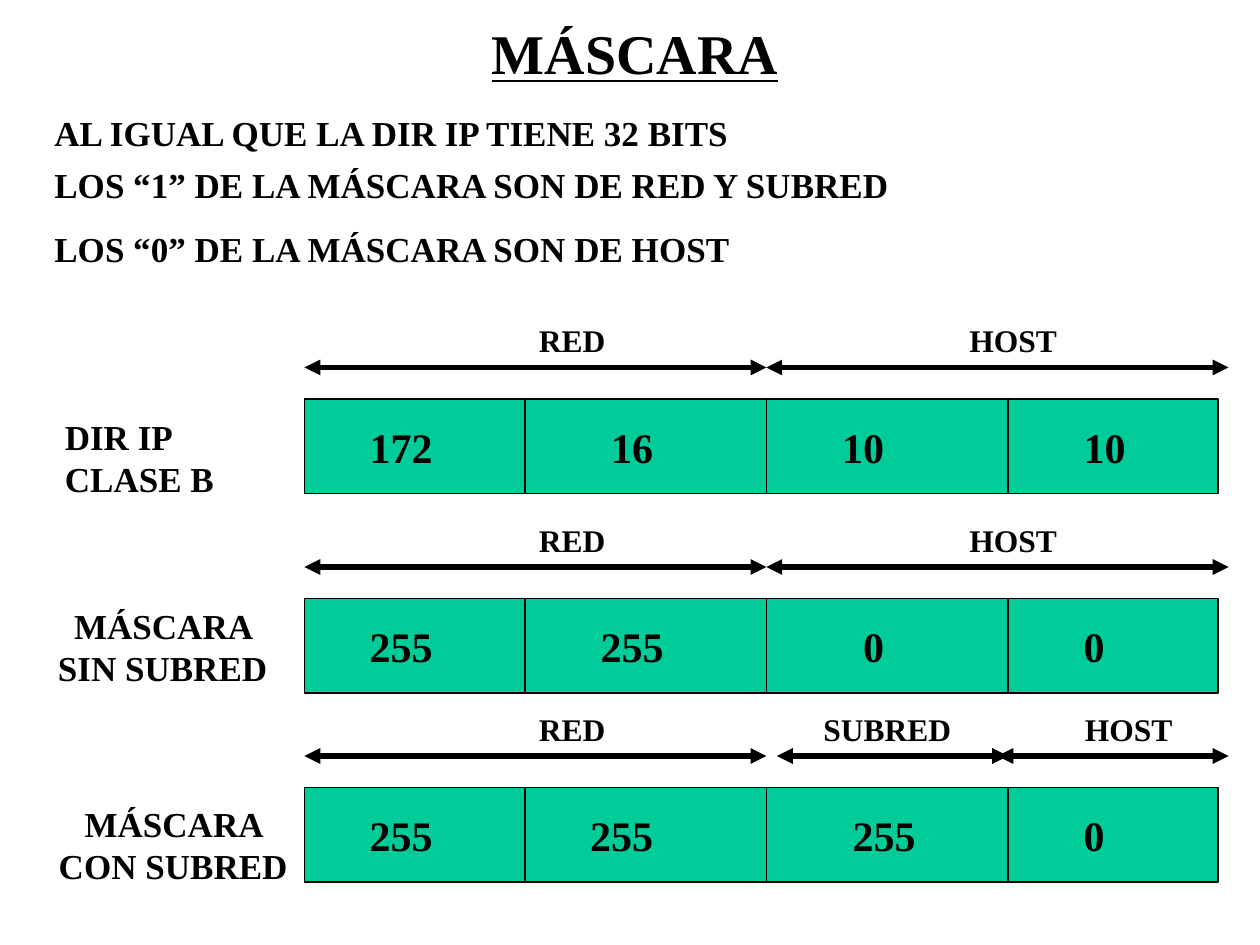
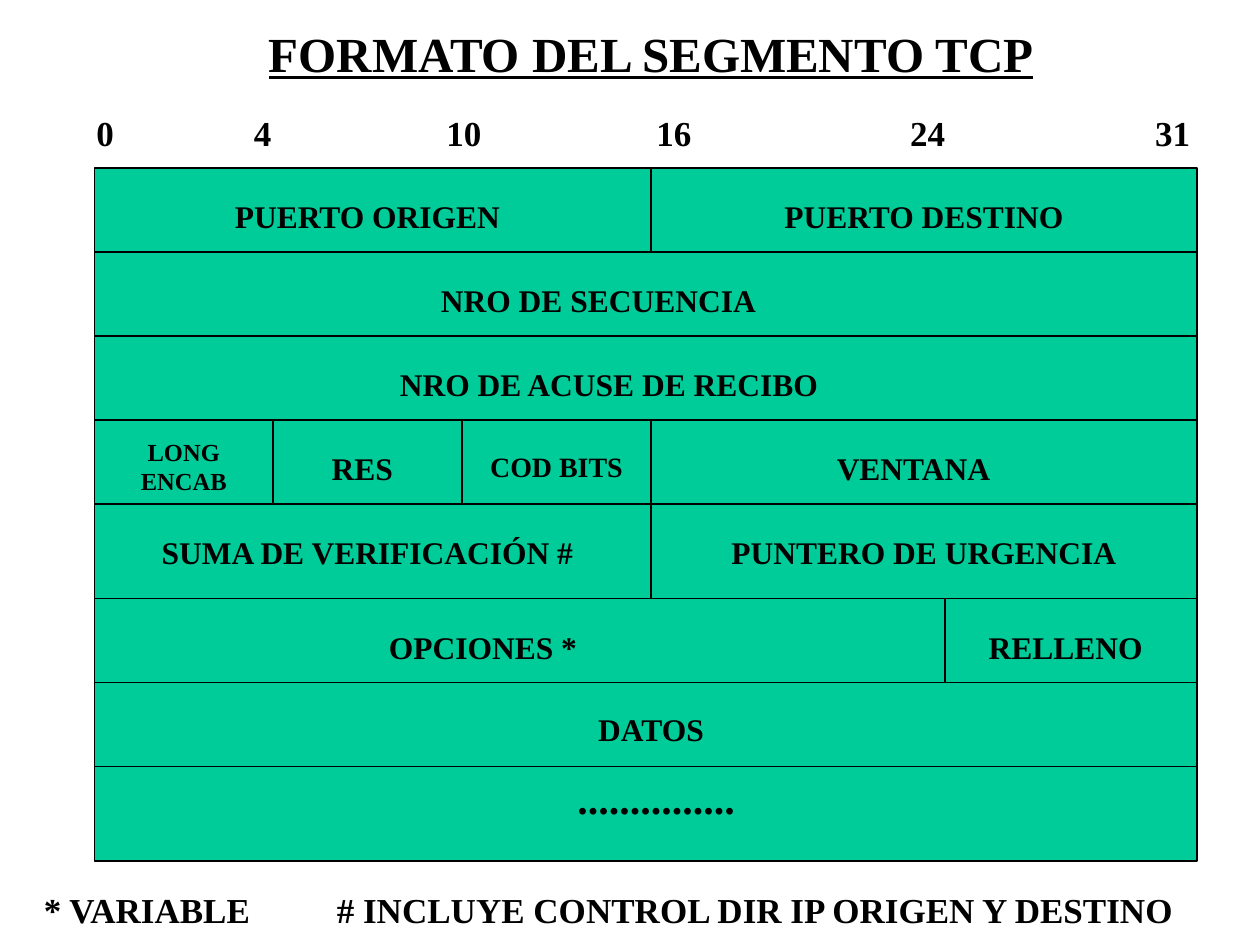
from collections import namedtuple

import pptx
import pptx.dml.color
import pptx.enum.shapes
import pptx.enum.text
import pptx.oxml.ns
import pptx.util
from lxml import etree

COLORS = {"ink": "000000", "field": "00CC99"}
FONT = "Times New Roman"
COLUMNS, ROWS = 120, 90
CELL = pptx.util.Inches(10) // COLUMNS
LABEL_HEIGHT = 4.8
INSET = 1.2

Box = namedtuple("Box", "left top width height")
Align = pptx.enum.text.PP_ALIGN
Anchor = pptx.enum.text.MSO_ANCHOR


def cells(*counts):
    return [round(count * CELL) for count in counts]


def color(key):
    return pptx.dml.color.RGBColor.from_string(COLORS[key])


def add_xml(parent, tag, **attributes):
    return etree.SubElement(parent, pptx.oxml.ns.qn(tag), attributes)


def write(frame, wording, size, align=Align.LEFT, tabs=(), underline=False):
    frame.word_wrap = True
    frame.text = wording
    for index, paragraph in enumerate(frame.paragraphs):
        if tabs:
            stops = add_xml(paragraph._p.get_or_add_pPr(), "a:tabLst")
            for stop in cells(*tabs):
                add_xml(stops, "a:tab", pos=str(stop), algn="l")
        paragraph.alignment = align
        if index:
            paragraph.space_before = pptx.util.Pt(12.5)
        for run in paragraph.runs:
            run.font.name = FONT
            run.font.size = pptx.util.Pt(size)
            run.font.bold = True
            run.font.underline = underline
            run.font.color.rgb = color("ink")


def add_label(slide, box, wording, size=20, **style):
    frame = slide.shapes.add_textbox(*cells(*box)).text_frame
    write(frame, wording, size, **style)
    return frame


def add_title(slide, box, wording, size):
    frame = add_label(slide, box, wording, size, align=Align.CENTER, underline=True)
    frame.vertical_anchor = Anchor.MIDDLE


def add_field(slide, box):
    field = slide.shapes.add_shape(
        pptx.enum.shapes.MSO_SHAPE.RECTANGLE, *cells(*box))
    field.shadow.inherit = False
    field.fill.solid()
    field.fill.fore_color.rgb = color("field")
    field.line.color.rgb = color("ink")
    field.line.width = pptx.util.Pt(0.75)
    return field


def add_line(slide, x1, y1, x2, y2, weight=0.75, arrows=False):
    line = slide.shapes.add_connector(
        pptx.enum.shapes.MSO_CONNECTOR.STRAIGHT, *cells(x1, y1, x2, y2))
    line.line.color.rgb = color("ink")
    line.line.width = pptx.util.Pt(weight)
    if arrows:
        outline = line.line._get_or_add_ln()
        add_xml(outline, "a:headEnd", type="triangle")
        add_xml(outline, "a:tailEnd", type="triangle")
    add_xml(line._element.spPr, "a:effectLst")


def add_address(slide, box, octets, stops, spans):
    frame = add_field(slide, box).text_frame
    frame.vertical_anchor = Anchor.MIDDLE
    frame.margin_left = cells(INSET + 5)[0]
    frame.margin_right = 0
    write(frame, "\t".join(octets), 24, tabs=stops)
    for divider in (21, 44, 67):
        x = box.left + divider
        add_line(slide, x, box.top, x, box.top + box.height)
    for part, start, end, label_left in spans:
        arrow_y = box.top - 3
        add_line(slide, box.left + start, arrow_y, box.left + end, arrow_y,
                 weight=3, arrows=True)
        add_label(slide, Box(box.left + label_left, box.top - 8, 23, LABEL_HEIGHT),
                  part, 18, align=Align.CENTER)


def build_mask_slide(slide):
    add_title(slide, Box(40, 1, 41, 8), "MÁSCARA", 32)
    add_label(slide, Box(4, 10, 113, 5.3), "AL IGUAL QUE LA DIR IP TIENE 32 BITS")
    add_label(slide, Box(4, 15, 109, 11.3),
              "LOS “1” DE LA MÁSCARA SON DE RED Y SUBRED\n"
              "LOS “0” DE LA MÁSCARA SON DE HOST")

    network = ("RED", 0, 44, 14)
    whole = [network, ("HOST", 44, 88, 56)]
    split = [network, ("SUBRED", 45, 67, 44), ("HOST", 66, 88, 67)]
    addresses = [
        (38, ("172", "16", "10", "10"), (23, 45, 68), whole),
        (57, ("255", "255", "0", "0"), (22, 47, 68), whole),
        (75, ("255", "255", "255", "0"), (21, 46, 68), split),
    ]
    for top, octets, stops, spans in addresses:
        add_address(slide, Box(29, top, 87, 9), octets, stops, spans)

    caption = add_label(slide, Box(5, 39, 24, 8.9), "DIR IP\nCLASE B")
    caption.paragraphs[1].line_spacing = 0.4
    add_label(slide, Box(4, 57, 23, 9.2), "MÁSCARA SIN SUBRED", align=Align.CENTER)
    add_label(slide, Box(4, 75.8, 25, 9.2), "MÁSCARA CON SUBRED", align=Align.CENTER)


def add_segment(slide, box):
    add_field(slide, box)
    row_tops = (0, 8, 16, 24, 32, 41, 49, 57)
    for row_top in row_tops[1:]:
        y = box.top + row_top
        add_line(slide, box.left, y, box.left + box.width, y)
    for x, start, end in ((53, 0, 1), (53, 3, 5), (81, 5, 6), (17, 3, 4), (35, 3, 4)):
        add_line(slide, box.left + x, box.top + row_tops[start],
                 box.left + x, box.top + row_tops[end])
    fields = [
        (0, 4, 44, "PUERTO ORIGEN", 18, 2.2),
        (0, 57, 44, "PUERTO DESTINO", 18, 2.2),
        (1, 26, 44, "NRO DE SECUENCIA", 18, 2.2),
        (2, 27, 44, "NRO DE ACUSE DE RECIBO", 18, 2.2),
        (3, 1, 15, "LONG ENCAB", 14, 1),
        (3, 18, 15, "RES", 18, 2.2),
        (3, 36, 16, "COD BITS", 16, 2.2),
        (3, 56, 44, "VENTANA", 18, 2.2),
        (4, 4, 44, "SUMA DE VERIFICACIÓN #", 18, 2.2),
        (4, 57, 44, "PUNTERO DE URGENCIA", 18, 2.2),
        (5, 15, 44, "OPCIONES *", 18, 2.2),
        (5, 81, 23, "RELLENO", 18, 2.2),
        (6, 31, 44, "DATOS", 18, 2),
        (7, 44, 19, "...............", 24, 0),
    ]
    for row, left, width, wording, size, drop in fields:
        label = Box(box.left + left, box.top + row_tops[row] + drop, width, LABEL_HEIGHT)
        add_label(slide, label, wording, size, align=Align.CENTER)


def build_segment_slide(slide):
    add_title(slide, Box(18, 1, 88, 8), "FORMATO DEL SEGMENTO TCP", 28)
    add_label(slide, Box(8, 10, 107, 5.3), "0\t4\t10\t16\t24\t31",
              tabs=(15, 33.33, 53.33, 77.5, 100.83))
    add_segment(slide, Box(9, 16, 105, 66))
    add_label(slide, Box(3, 84, 113, 5.3),
              "* VARIABLE\t# INCLUYE CONTROL DIR IP ORIGEN Y DESTINO", tabs=(27.9,))


def main():
    deck = pptx.Presentation()
    deck.slide_width, deck.slide_height = cells(COLUMNS, ROWS)
    for build in (build_mask_slide, build_segment_slide):
        build(deck.slides.add_slide(deck.slide_layouts[6]))
    deck.save("out.pptx")


if __name__ == "__main__":
    main()
